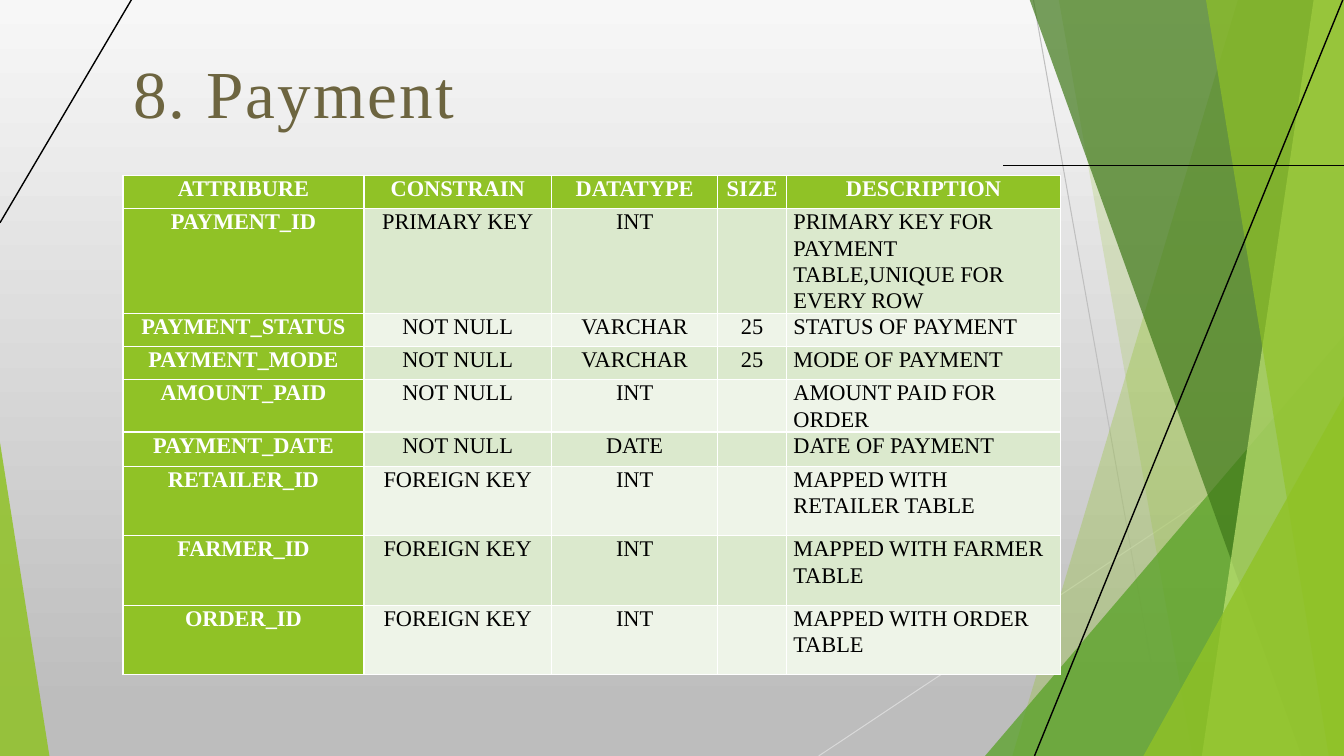
import pptx
import pptx.util
import pptx.dml.color
import pptx.enum.shapes
import pptx.enum.text
import pptx.oxml.ns
import pptx.oxml.xmlchemy

Inches, Pt = pptx.util.Inches, pptx.util.Pt
ALIGN = pptx.enum.text.PP_ALIGN

# Content
FONT = "Times New Roman"
TITLE = "8. Payment"
HEADER = ("ATTRIBURE", "CONSTRAIN", "DATATYPE", "SIZE", "DESCRIPTION")
FIELDS = [
    ("PAYMENT_ID", "PRIMARY KEY", "INT", "", "PRIMARY KEY FOR PAYMENT TABLE,UNIQUE FOR EVERY ROW"),
    ("PAYMENT_STATUS", "NOT NULL", "VARCHAR", "25", "STATUS OF PAYMENT"),
    ("PAYMENT_MODE", "NOT NULL", "VARCHAR", "25", "MODE OF PAYMENT"),
    ("AMOUNT_PAID", "NOT NULL", "INT", "", "AMOUNT PAID FOR ORDER"),
    ("PAYMENT_DATE", "NOT NULL", "DATE", "", "DATE OF PAYMENT"),
    ("RETAILER_ID", "FOREIGN KEY", "INT", "", "MAPPED WITH RETAILER TABLE"),
    ("FARMER_ID", "FOREIGN KEY", "INT", "", "MAPPED WITH FARMER TABLE"),
    ("ORDER_ID", "FOREIGN KEY", "INT", "", "MAPPED WITH ORDER TABLE"),
]
COL_WIDTHS = (2.39, 1.86, 1.65, 0.68, 2.72)
ROW_HEIGHTS = (0.33, 0.89, 0.33, 0.33, 0.34, 0.34, 0.69, 0.69, 0.69)
WIDTH, HEIGHT, TOP = 13.33, 7.5, -0.01
GREEN, BANDS = "90C226", ("DBE9CD", "EEF4E8")

# Decoration, back to front
THIN_LINES = [
    (10.25, 0, 11.58, HEIGHT, "BFBFBF", 0.75),
    (WIDTH, 4.03, 8.12, HEIGHT, "D9D9D9", 0.75),
]
FACETS = [  # band: top x, bottom x; triangle: left, top, width, apex
    ("band", (12.28, 10.04), GREEN, 30),
    ("band", (10.5, 11.83), GREEN, 20),
    ("triangle", (9.77, 3.33, 3.56, 1), "54A021", 72),
    ("band", (10.21, 12.91), "3F7819", 70),
    ("band", (13.03, 11.92), "C0E474", 70),
    ("band", (11.96, 13.18), GREEN, 65),
    ("triangle", (11.34, 3.93, 1.99, 1), GREEN, 80),
    ("triangle", (0, 4.39, 0.49, 0), GREEN, 85),
]
BLACK_LINES = [
    (9.95, 1.64, WIDTH, 1.64, "000000", 1),
    (WIDTH, -0.03, 10.26, HEIGHT, "000000", 1),
    (0, 2.21, 1.32, -0.03, "000000", 1),
]


def rgb(value):
    return pptx.dml.color.RGBColor.from_string(value)


def add_line(shapes, x1, y1, x2, y2, color, width):
    line = shapes.add_connector(pptx.enum.shapes.MSO_CONNECTOR.STRAIGHT,
                                Inches(x1), Inches(y1), Inches(x2), Inches(y2))
    line.line.color.rgb = rgb(color)
    line.line.width = Pt(width)
    line._element.spPr.append(pptx.oxml.xmlchemy.OxmlElement("a:effectLst"))


def add_facet(shapes, kind, geometry, color, opacity):
    if kind == "band":
        top_x, bottom_x = geometry
        corners = [(WIDTH, TOP), (WIDTH, HEIGHT), (bottom_x, HEIGHT)]
        builder = shapes.build_freeform(Inches(top_x), Inches(TOP))
        builder.add_line_segments([(Inches(x), Inches(y)) for x, y in corners], close=True)
        sp = builder.convert_to_shape()
    else:
        left, top, width, apex = geometry
        sp = shapes.add_shape(pptx.enum.shapes.MSO_SHAPE.ISOSCELES_TRIANGLE, Inches(left),
                              Inches(top), Inches(width), Inches(HEIGHT - top))
        sp.adjustments[0] = apex
    sp.shadow.inherit = False
    sp.line.fill.background()
    sp.fill.solid()
    sp.fill.fore_color.rgb = rgb(color)
    alpha = pptx.oxml.xmlchemy.OxmlElement("a:alpha")
    alpha.set("val", str(opacity * 1000))
    sp._element.spPr.find(pptx.oxml.ns.qn("a:solidFill"))[0].append(alpha)


def format_run(r, size, color, bold=False):
    r.font.name = FONT
    r.font.size = Pt(size)
    r.font.bold = bold
    r.font.color.rgb = rgb(color)


def fill_cell(cell, text, row, col):
    heading = row == 0 or col == 0
    cell.margin_left = cell.margin_right = Inches(0.07)
    cell.margin_top = cell.margin_bottom = 0
    cell.fill.solid()
    cell.fill.fore_color.rgb = rgb(GREEN if heading else BANDS[(row - 1) % 2])
    if not text:
        return
    p = cell.text_frame.paragraphs[0]
    p.text = text
    p.alignment = ALIGN.LEFT if row and col == len(HEADER) - 1 else ALIGN.CENTER
    p.line_spacing = 1.05
    p.space_after = Pt(10)
    format_run(p.runs[0], 16, "FFFFFF" if heading else "000000", heading)


def main():
    prs = pptx.Presentation()
    prs.slide_width, prs.slide_height = Inches(WIDTH), Inches(HEIGHT)
    s = prs.slides.add_slide(prs.slide_layouts[5])

    # Background
    fill = s.background.fill
    fill.gradient()
    fill.gradient_angle = 270
    for stop, (position, color) in zip(fill.gradient_stops, [(0, "F7F7F7"), (0.94, "BDBDBD")]):
        stop.position = position
        stop.color.rgb = rgb(color)

    # Lines and green facets
    for line in THIN_LINES:
        add_line(s.shapes, *line)
    for facet in FACETS:
        add_facet(s.shapes, *facet)
    for line in BLACK_LINES:
        add_line(s.shapes, *line)

    # Title, in front of the decoration
    title = s.shapes.title
    s.shapes._spTree.append(title._element)
    title.left, title.top = Inches(1.22), Inches(0.37)
    title.width, title.height = Inches(7.97), Inches(0.99)
    tf = title.text_frame
    tf.text = TITLE
    tf.vertical_anchor = pptx.enum.text.MSO_ANCHOR.BOTTOM
    tf.auto_size = pptx.enum.text.MSO_AUTO_SIZE.NONE
    p = tf.paragraphs[0]
    p.alignment = ALIGN.LEFT
    format_run(p.runs[0], 48, "6D6540")
    p.runs[0]._r.get_or_add_rPr().set("spc", "150")

    # Table
    rows = [HEADER] + FIELDS
    table = s.shapes.add_table(len(rows), len(HEADER), Inches(1.22), Inches(1.74),
                               Inches(sum(COL_WIDTHS)), Inches(sum(ROW_HEIGHTS))).table
    table.first_col = True
    for column, width in zip(table.columns, COL_WIDTHS):
        column.width = Inches(width)
    for i, (values, height) in enumerate(zip(rows, ROW_HEIGHTS)):
        table.rows[i].height = Inches(height)
        for j, text in enumerate(values):
            fill_cell(table.cell(i, j), text, i, j)

    prs.save("out.pptx")


if __name__ == "__main__":
    main()
